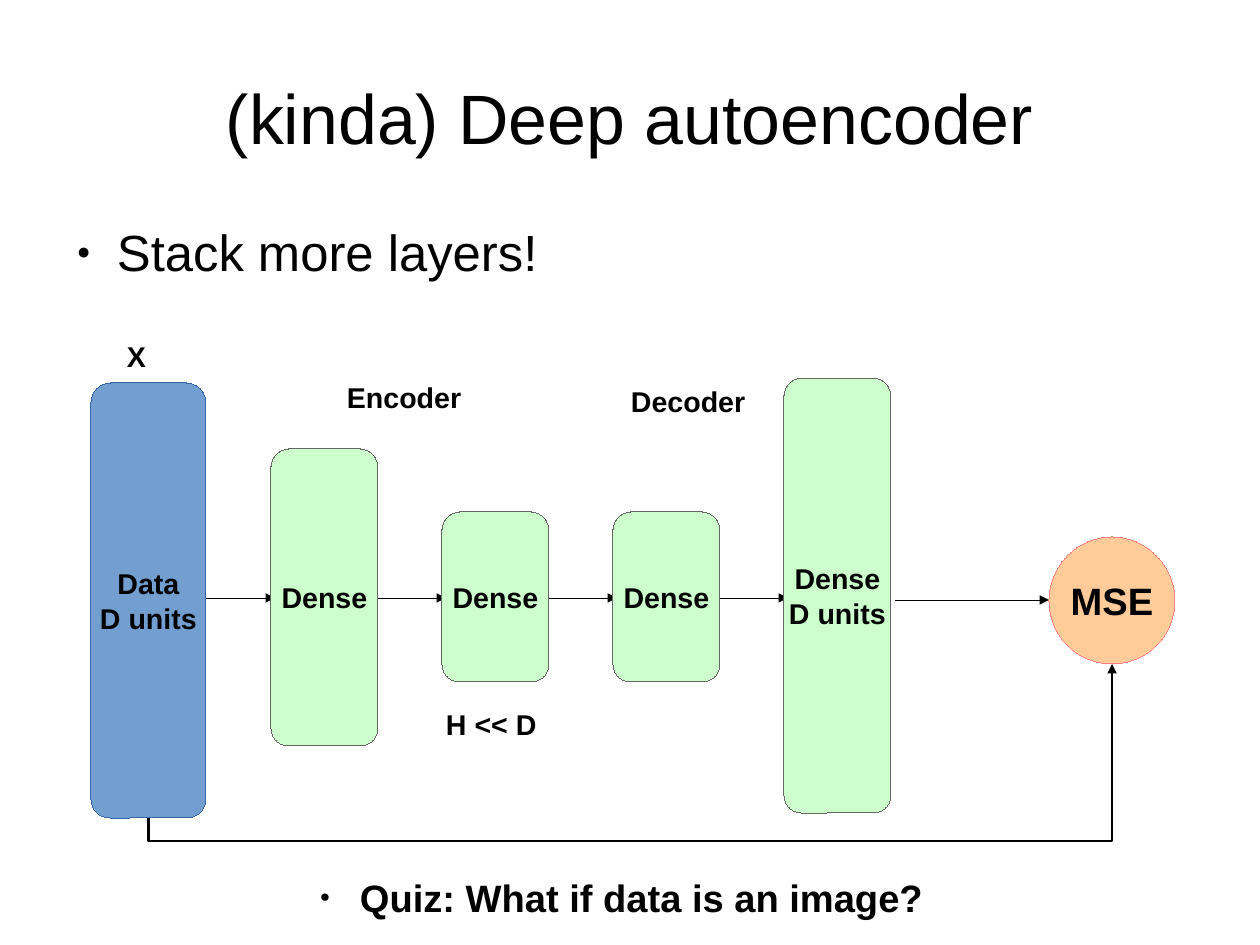
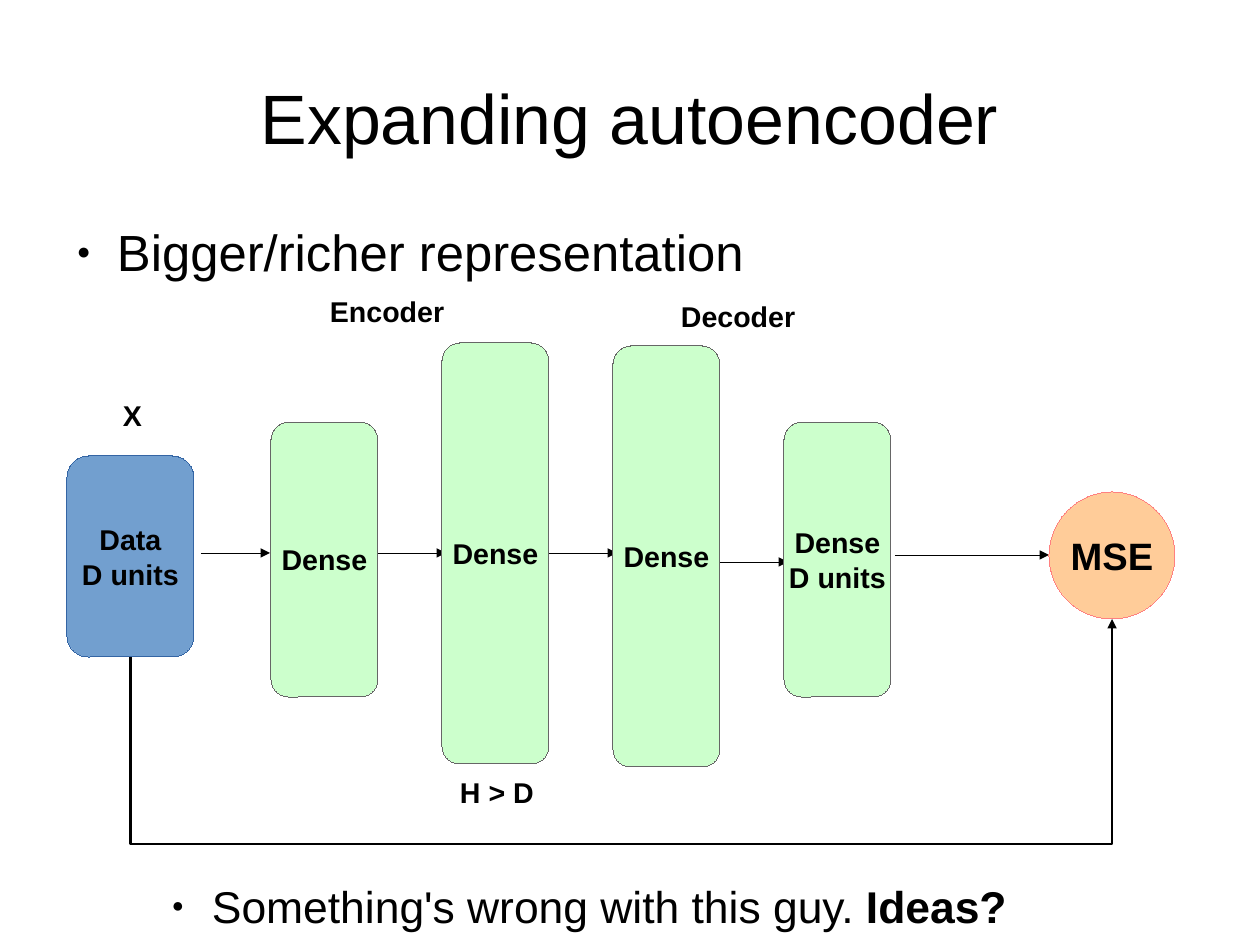
from lxml import etree
from pptx import Presentation, util as u
from pptx.dml.color import RGBColor
from pptx.enum import shapes, text
from pptx.oxml.ns import qn

PX = 8000
FONT = "Arial"
BLACK = RGBColor(0, 0, 0)
DATA_FILL = RGBColor(0x72, 0x9F, 0xCF)
DATA_EDGE = RGBColor(0x34, 0x65, 0xA4)
DENSE_FILL = RGBColor(0xCC, 0xFF, 0xCC)
DENSE_EDGE = RGBColor(0x66, 0x66, 0x66)
LOSS_FILL = RGBColor(0xFF, 0xCC, 0x99)
LOSS_EDGE = RGBColor(0xFF, 0x80, 0x80)

DENSE_LEFT, DENSE_WIDTH, LAYER_STEP = 271, 107, 171
ARROW_LEFT, ARROW_LENGTH = 206, 69
LOSS_ARROW_LEFT, LOSS_LEFT, LOSS_WIDTH, LOSS_HEIGHT = 895, 1049, 126, 127
LAYER_NAMES = [("Dense",), ("Dense",), ("Dense",), ("Dense", "D units")]


def emu(*lengths):
    return [u.Emu(round(length * PX)) for length in lengths]


def drop_theme_style(shape):
    shape._element.remove(shape._element.find(qn("p:style")))


def add_bullet(paragraph):
    props = paragraph._p.get_or_add_pPr()
    props.set("marL", str(54 * PX))
    props.set("indent", str(-40 * PX))
    colour = etree.SubElement(props, qn("a:buClr"))
    etree.SubElement(colour, qn("a:srgbClr"), val=str(BLACK))
    etree.SubElement(props, qn("a:buSzPct"), val="45000")
    etree.SubElement(props, qn("a:buFont"), typeface=FONT)
    etree.SubElement(props, qn("a:buChar"), char="●")


def write(shape, *lines, size=18, bold=True, emphasis="", align=text.PP_ALIGN.LEFT,
          anchor=text.MSO_ANCHOR.TOP, margins=(11, 6), wrap=False, bullet=False):
    frame = shape.text_frame
    frame.auto_size = text.MSO_AUTO_SIZE.NONE
    frame.word_wrap = wrap
    frame.vertical_anchor = anchor
    frame.margin_left = frame.margin_right = emu(margins[0])[0]
    frame.margin_top = frame.margin_bottom = emu(margins[1])[0]
    for index, line in enumerate(lines):
        paragraph = frame.paragraphs[0] if index == 0 else frame.add_paragraph()
        paragraph.alignment = align
        if bullet:
            add_bullet(paragraph)
        for words, heavy in ((line, bold), (emphasis, True)):
            if words:
                run = paragraph.add_run()
                run.text = words
                run.font.name = FONT
                run.font.size = u.Pt(size)
                run.font.bold = heavy
                run.font.color.rgb = BLACK


def add_title(slide, words):
    title = slide.shapes.title
    title.left, title.top, title.width, title.height = emu(63, 38, 1134, 158)
    write(title, words, size=44, bold=False, align=text.PP_ALIGN.CENTER,
          anchor=text.MSO_ANCHOR.MIDDLE, margins=(0, 0), wrap=True)


def add_point(slide, box, words, **style):
    point = slide.shapes.add_textbox(*emu(*box))
    write(point, words, margins=(0, 0), wrap=True, bullet=True, **style)


def add_label(slide, words, left, top, width):
    write(slide.shapes.add_textbox(*emu(left, top, width, 43)), words)


def add_node(slide, kind, box, fill, edge, lines, size=18):
    node = slide.shapes.add_shape(kind, *emu(*box))
    drop_theme_style(node)
    node.shadow.inherit = False
    node.fill.solid()
    node.fill.fore_color.rgb = fill
    node.line.color.rgb = edge
    node.line.width = u.Pt(0)
    write(node, *lines, size=size, align=text.PP_ALIGN.CENTER,
          anchor=text.MSO_ANCHOR.MIDDLE)


def add_arrow(slide, start, end, width=0, kind=shapes.MSO_CONNECTOR.STRAIGHT):
    arrow = slide.shapes.add_connector(kind, *emu(*start, *end))
    drop_theme_style(arrow)
    arrow.line.color.rgb = BLACK
    arrow.line.width = u.Pt(width)
    etree.SubElement(arrow.line._get_or_add_ln(), qn("a:tailEnd"), type="triangle")
    etree.SubElement(arrow._element.spPr, qn("a:effectLst"))
    return arrow


def add_return_arrow(slide, start, end, floor):
    middle_x, middle_y = (start[0] + end[0]) / 2, (start[1] + end[1]) / 2
    rise, run = start[1] - end[1], end[0] - start[0]
    arrow = add_arrow(slide, (middle_x + rise / 2, middle_y + run / 2),
                      (middle_x - rise / 2, middle_y - run / 2),
                      width=1.45, kind=shapes.MSO_CONNECTOR.ELBOW)
    props = arrow._element.spPr
    props.find(qn("a:xfrm")).set("rot", "5400000")
    guides = props.find(qn("a:prstGeom")).find(qn("a:avLst"))
    bend = round((start[1] - floor) / rise * 100000)
    etree.SubElement(guides, qn("a:gd"), name="adj1", fmla=f"val {bend}")


def add_network(slide, data, layers, arrow_ys, feed_left, loss_top, floor):
    for index, y in enumerate(arrow_ys):
        left = ARROW_LEFT + index * LAYER_STEP if index else feed_left
        add_arrow(slide, (left, y), (left + ARROW_LENGTH, y))
    loss_y = loss_top + LOSS_HEIGHT // 2
    add_arrow(slide, (LOSS_ARROW_LEFT, loss_y), (LOSS_LEFT, loss_y))

    rounded = shapes.MSO_SHAPE.ROUNDED_RECTANGLE
    add_node(slide, rounded, data, DATA_FILL, DATA_EDGE, ("Data", "D units"))
    for index, ((top, height), name) in enumerate(zip(layers, LAYER_NAMES)):
        box = (DENSE_LEFT + index * LAYER_STEP, top, DENSE_WIDTH, height)
        add_node(slide, rounded, box, DENSE_FILL, DENSE_EDGE, name)
    add_node(slide, shapes.MSO_SHAPE.OVAL, (LOSS_LEFT, loss_top, LOSS_WIDTH, LOSS_HEIGHT),
             LOSS_FILL, LOSS_EDGE, ("MSE",), size=24)

    left, top, width, height = data
    add_return_arrow(slide, (left + width / 2, top + height),
                     (LOSS_LEFT + LOSS_WIDTH / 2, loss_top + LOSS_HEIGHT), floor)


def add_autoencoder(deck, title, point, labels, network):
    slide = deck.slides.add_slide(deck.slide_layouts[5])
    add_title(slide, title)
    add_point(slide, (63, 221, 1134, 69), point, size=32, bold=False)
    add_network(slide, **network)
    for label in labels:
        add_label(slide, *label)
    return slide


def main():
    deck = Presentation()
    deck.slide_width, deck.slide_height = emu(1260, 945)

    deep = add_autoencoder(
        deck, "(kinda) Deep autoencoder", "Stack more layers!",
        labels=[("X", 116, 333, 41), ("Encoder", 336, 374, 137),
                ("Decoder", 620, 378, 137), ("H << D", 435, 701, 113)],
        network=dict(data=(91, 383, 115, 435),
                     layers=[(449, 297), (512, 170), (512, 170), (378, 435)],
                     arrow_ys=[598] * 4, feed_left=206, loss_top=537, floor=841))
    add_point(deep, (306, 874, 711, 69), "Quiz: What if data is an image?", size=24)

    expanding = add_autoencoder(
        deck, "Expanding autoencoder", "Bigger/richer representation",
        labels=[("X", 112, 392, 41), ("Encoder", 319, 288, 137),
                ("Decoder", 670, 293, 137), ("H > D", 449, 769, 96)],
        network=dict(data=(67, 456, 127, 201),
                     layers=[(422, 275), (343, 421), (346, 421), (422, 275)],
                     arrow_ys=[553, 553, 553, 562], feed_left=201, loss_top=492, floor=844))
    add_point(expanding, (158, 879, 1082, 62), "Something's wrong with this guy. ",
              size=28, bold=False, emphasis="Ideas?")

    deck.save("out.pptx")


if __name__ == "__main__":
    main()
